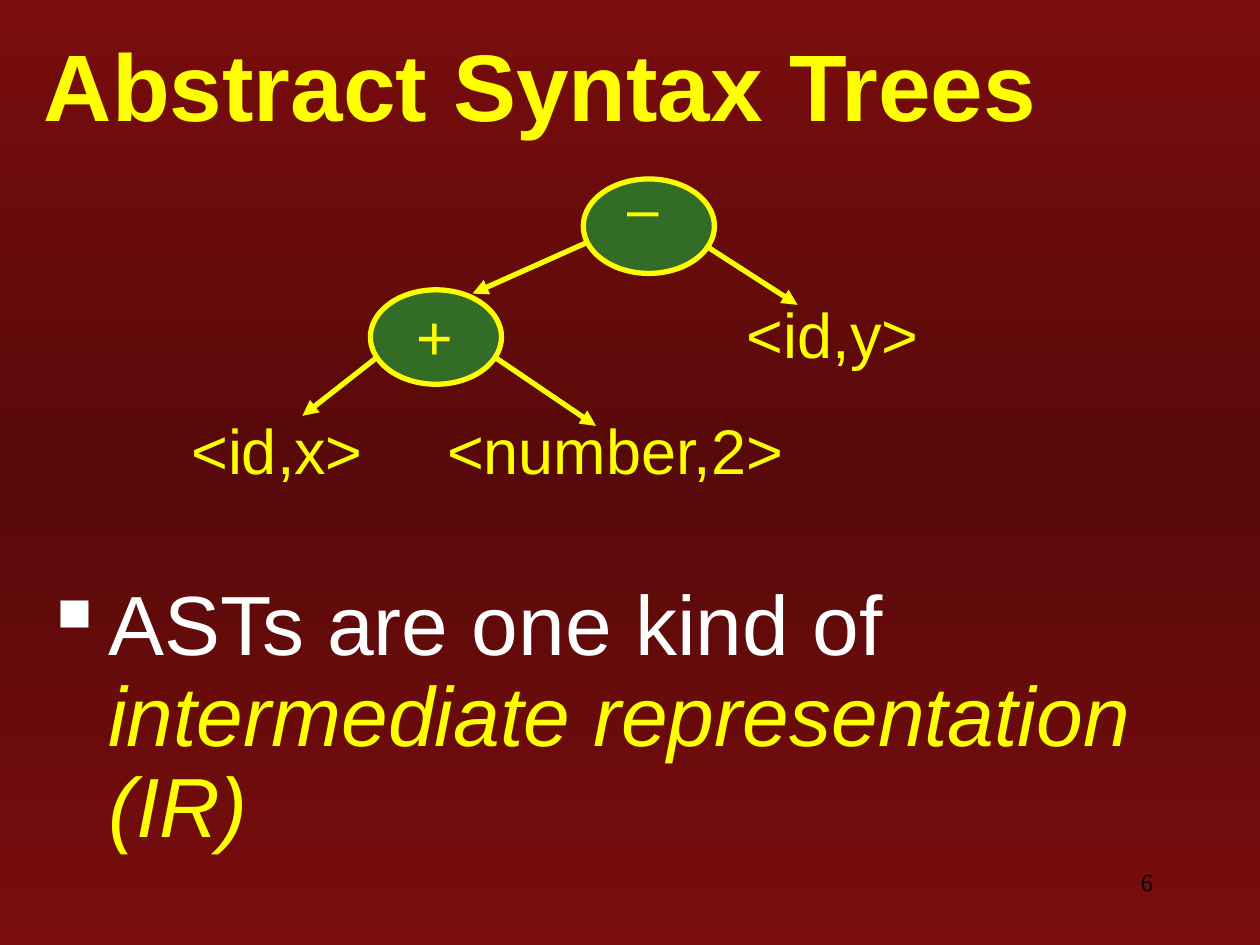
from copy import deepcopy
from typing import NamedTuple

from lxml.etree import SubElement
from pptx import Presentation
from pptx.dml.color import RGBColor
from pptx.enum.shapes import MSO_CONNECTOR, MSO_SHAPE
from pptx.enum.text import MSO_ANCHOR, MSO_AUTO_SIZE, PP_ALIGN
from pptx.oxml import parse_xml
from pptx.oxml.ns import nsdecls, qn
from pptx.util import Emu, Inches, Pt

YELLOW = RGBColor(0xFF, 0xFF, 0x00)
WHITE = RGBColor(0xFF, 0xFF, 0xFF)
BLACK = RGBColor(0x00, 0x00, 0x00)
GREEN = RGBColor(0x33, 0x6C, 0x26)
RED = RGBColor(0x79, 0x0D, 0x0D)
DARK_RED = RGBColor(0x58, 0x09, 0x09)

# The slide is a grid of 100 columns by 75 rows
CELL = Inches(0.1)
NODE_SIZE = (10.4, 7.5)
LINE_WIDTH = Pt(3)


class Box(NamedTuple):
    col: float
    row: float
    cols: float
    rows: float


class Label(NamedTuple):
    text: str
    box: Box
    font: str = "Arial"
    italic: bool = False


class Edge(NamedTuple):
    start: tuple[float, float]
    end: tuple[float, float]


NODES = [(46.3, 14.2), (29.4, 23)]
LABELS = [
    Label("–", Box(48.8, 12.9, 4.5, 7), font="TeX Gyre Adventor"),
    Label("+", Box(32, 23.1, 4.9, 7), italic=True),
    Label("<id,y>", Box(58.3, 23, 15.6, 7)),
    Label("<id,x>", Box(14.2, 32.2, 15.6, 7)),
    Label("<number,2>", Box(34.5, 32.2, 28.9, 7)),
]
EDGES = [
    Edge((56, 19.5), (63.3, 24.2)),
    Edge((46.7, 19.2), (37.5, 23.3)),
    Edge((30, 28.3), (24, 33)),
    Edge((39.2, 28.3), (47.3, 33.8)),
]


def grid(*cells: float) -> list[Emu]:
    return [Emu(round(c * CELL)) for c in cells]


def add_text(slide, box: Box, wrap: bool = True):
    tf = slide.shapes.add_textbox(*grid(*box)).text_frame
    tf.word_wrap = wrap
    return tf


def add_run(p, text: str, color: RGBColor, **formats):
    r = p.add_run()
    r.text = text
    for name, value in formats.items():
        setattr(r.font, name, value)
    r.font.color.rgb = color
    return r


def add_node(slide, corner: tuple[float, float]) -> None:
    sp = slide.shapes.add_shape(MSO_SHAPE.OVAL, *grid(*corner, *NODE_SIZE))
    sp.shadow.inherit = False
    sp.fill.solid()
    sp.fill.fore_color.rgb = GREEN
    sp.line.color.rgb = YELLOW
    sp.line.width = LINE_WIDTH


def add_label(slide, label: Label) -> None:
    tf = add_text(slide, label.box, wrap=False)
    tf.auto_size = MSO_AUTO_SIZE.SHAPE_TO_FIT_TEXT
    add_run(tf.paragraphs[0], label.text, YELLOW,
            name=label.font, size=Pt(36), italic=label.italic)


def add_arrow(slide, edge: Edge) -> None:
    cxn = slide.shapes.add_connector(
        MSO_CONNECTOR.STRAIGHT, *grid(*edge.start, *edge.end))
    cxn.line.color.rgb = YELLOW
    cxn.line.width = LINE_WIDTH
    SubElement(cxn.line._get_or_add_ln(), qn("a:tailEnd"), type="triangle")
    SubElement(cxn._element.spPr, qn("a:effectLst"))


def paint_background(slide) -> None:
    fill = slide.background.fill
    fill.gradient()
    fill.gradient_angle = 270
    stops = slide.element.xpath(".//a:gsLst")[0]
    stops.append(deepcopy(stops[-1]))
    for stop, color, place in zip(fill.gradient_stops,
                                  (RED, DARK_RED, RED), (0, 0.5, 1)):
        stop.color.rgb = color
        stop.position = place


def add_title(slide) -> None:
    tf = add_text(slide, Box(2.5, 2.5, 94.2, 8.3))
    tf.vertical_anchor = MSO_ANCHOR.MIDDLE
    r = add_run(tf.paragraphs[0], "Abstract Syntax Trees", YELLOW,
                name="Arial", size=Pt(54), bold=True)
    # Text shadow, placed right after the fill
    r.font._element.find(qn("a:solidFill")).addnext(parse_xml(
        f'<a:effectLst {nsdecls("a")}><a:outerShdw dist="25400" dir="2700000">'
        '<a:srgbClr val="C0C0C0"/></a:outerShdw></a:effectLst>'))


def add_bullet(slide) -> None:
    p = add_text(slide, Box(2.5, 45.8, 97.5, 25)).paragraphs[0]
    pPr = p._p.get_or_add_pPr()
    pPr.set("marL", str(Inches(0.51)))
    pPr.set("indent", str(-Inches(0.51)))
    p.line_spacing = 0.9
    color = SubElement(pPr, qn("a:buClr"))
    SubElement(color, qn("a:srgbClr"), val=str(WHITE))
    SubElement(pPr, qn("a:buChar"), char="▪")
    formats = {"name": "Arial", "size": Pt(48)}
    add_run(p, "ASTs are one kind of ", WHITE, **formats)
    add_run(p, "intermediate representation (IR)", YELLOW,
            italic=True, **formats)


def add_page_number(slide) -> None:
    p = add_text(slide, Box(71.7, 68.3, 20.8, 5)).paragraphs[0]
    p.alignment = PP_ALIGN.RIGHT
    add_run(p, "6", BLACK, name="Times New Roman", size=Pt(14))


def main() -> None:
    prs = Presentation()
    prs.slide_width, prs.slide_height = grid(100, 75)
    s = prs.slides.add_slide(prs.slide_layouts[6])
    paint_background(s)
    add_page_number(s)
    add_title(s)
    add_bullet(s)

    # Syntax tree
    for node in NODES:
        add_node(s, node)
    for label in LABELS:
        add_label(s, label)
    for edge in EDGES:
        add_arrow(s, edge)

    prs.save("out.pptx")


if __name__ == "__main__":
    main()
